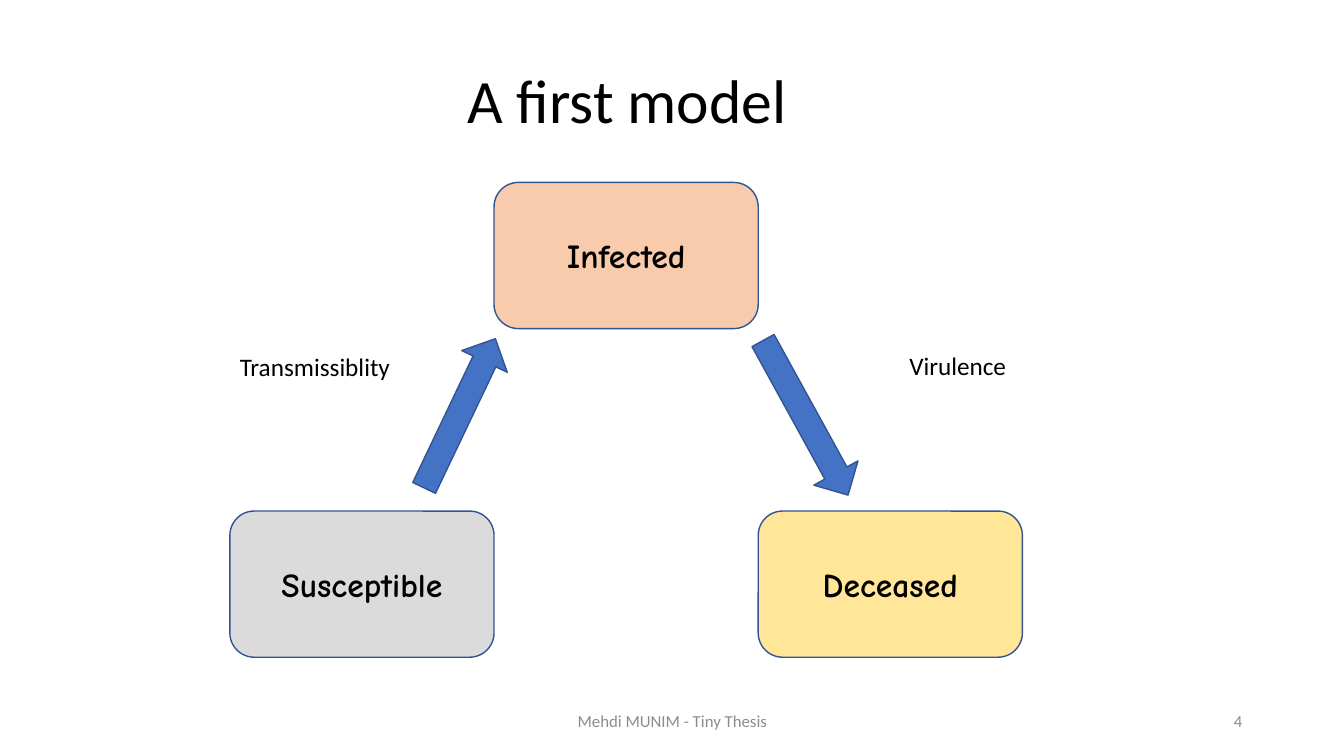
import pptx
import pptx.util
import pptx.dml.color
import pptx.enum.shapes
import pptx.enum.text

Inches = pptx.util.Inches
Pt = pptx.util.Pt
RGBColor = pptx.dml.color.RGBColor
Shape = pptx.enum.shapes.MSO_SHAPE
Align = pptx.enum.text.PP_ALIGN
Anchor = pptx.enum.text.MSO_ANCHOR

BLACK = RGBColor(0x00, 0x00, 0x00)
GRAY = RGBColor(0x8C, 0x8C, 0x8C)
BLUE = RGBColor(0x44, 0x72, 0xC4)
EDGE = RGBColor(0x32, 0x54, 0x91)
PEACH = RGBColor(0xF8, 0xCB, 0xAD)
SILVER = RGBColor(0xDB, 0xDB, 0xDB)
YELLOW = RGBColor(0xFF, 0xE6, 0x99)

LEFT, TOP, WIDE, HIGH, DROP = 2.28, 1.81, 2.62, 1.45, 3.26

states = [
    ("Susceptible", SILVER, 0, 1),
    ("Infected", PEACH, 1, 0),
    ("Deceased", YELLOW, 2, 1),
]
arrows = [
    (Shape.DOWN_ARROW, (7.74, 3.27, 0.5, 1.75), 331.2),
    (Shape.UP_ARROW, (4.31, 3.28, 0.5, 1.64), 25.5),
]
texts = [
    ("A first model", (0.47, 0.26, 11.5, 1.45), 44, BLACK, Align.CENTER, Anchor.MIDDLE),
    ("Mehdi MUNIM - Tiny Thesis", (4.42, 6.95, 4.5, 0.4), 12, GRAY, Align.CENTER, Anchor.MIDDLE),
    ("4", (9.42, 6.95, 3, 0.4), 12, GRAY, Align.RIGHT, Anchor.MIDDLE),
    ("Transmissiblity", (2.28, 3.44, 1.7, 0.4), 18, BLACK, Align.LEFT, Anchor.TOP),
    ("Virulence", (8.92, 3.43, 1.7, 0.4), 18, BLACK, Align.LEFT, Anchor.TOP),
]

deck = pptx.Presentation()
deck.slide_width = Inches(13.33)
deck.slide_height = Inches(7.5)
slide = deck.slides.add_slide(deck.slide_layouts[6])


def write(shape, text, size, color, align, anchor, font="Calibri", bold=False):
    frame = shape.text_frame
    frame.text = text
    frame.word_wrap = True
    frame.vertical_anchor = anchor
    line = frame.paragraphs[0]
    line.alignment = align
    style = line.runs[0].font
    style.name = font
    style.size = Pt(size)
    style.bold = bold
    style.color.rgb = color


def draw(kind, place, fill):
    shape = slide.shapes.add_shape(kind, *map(Inches, place))
    shape.shadow.inherit = False
    shape.fill.solid()
    shape.fill.fore_color.rgb = fill
    shape.line.color.rgb = EDGE
    shape.line.width = Pt(1)
    return shape


for text, place, *style in texts:
    write(slide.shapes.add_textbox(*map(Inches, place)), text, *style)

for name, fill, col, row in states:
    place = (LEFT + col * WIDE, TOP + row * DROP, WIDE, HIGH)
    box = draw(Shape.ROUNDED_RECTANGLE, place, fill)
    write(box, name, 24, BLACK, Align.CENTER, Anchor.MIDDLE, "Comic Neue", True)

for kind, place, turn in arrows:
    draw(kind, place, BLUE).rotation = turn

deck.save("out.pptx")
